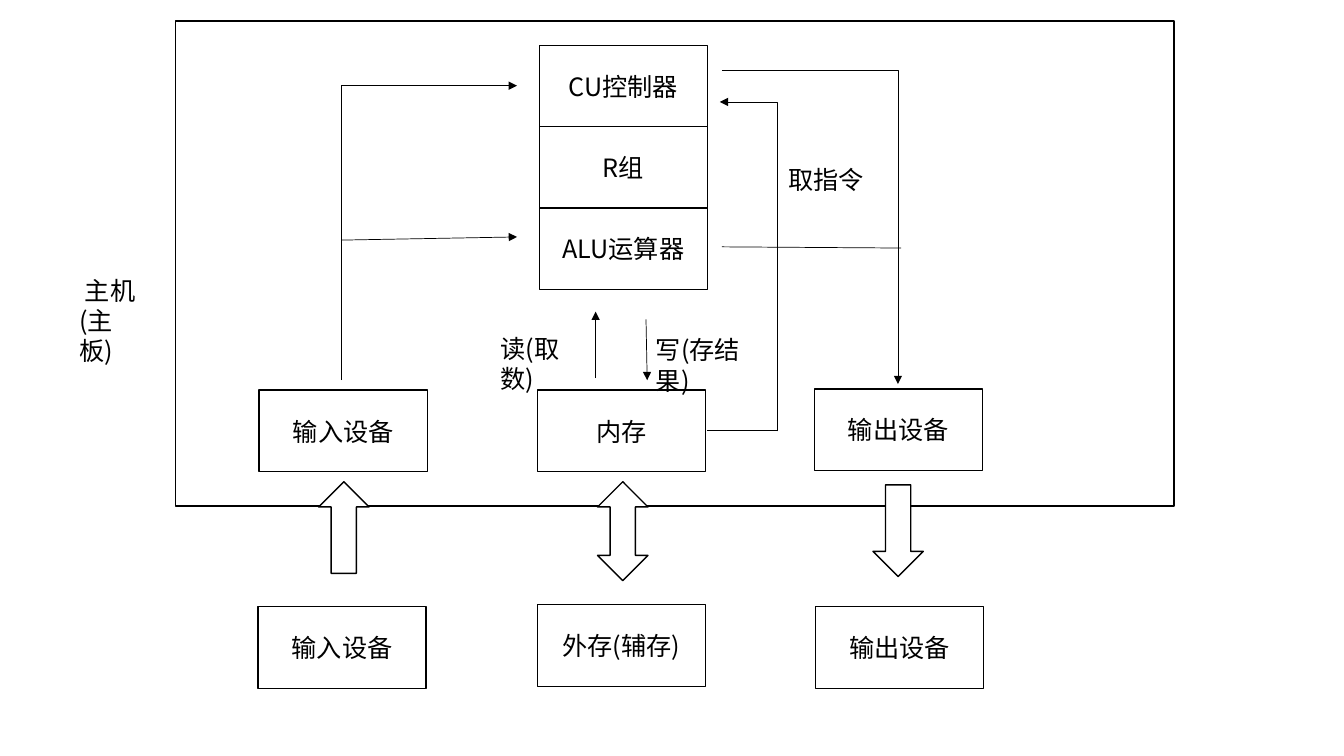
from dataclasses import dataclass

from lxml import etree
from pptx import Presentation
from pptx.dml.color import RGBColor
from pptx.enum.shapes import MSO_CONNECTOR, MSO_SHAPE
from pptx.enum.text import MSO_ANCHOR, MSO_AUTO_SIZE, PP_ALIGN
from pptx.oxml.ns import qn
from pptx.shapes.autoshape import Shape
from pptx.shapes.connector import Connector
from pptx.slide import Slide
from pptx.text.text import TextFrame
from pptx.util import Cm, Pt

RECTANGLE = MSO_SHAPE.RECTANGLE
UP_ARROW = MSO_SHAPE.UP_ARROW
DOWN_ARROW = MSO_SHAPE.DOWN_ARROW
UP_DOWN_ARROW = MSO_SHAPE.UP_DOWN_ARROW
STRAIGHT = MSO_CONNECTOR.STRAIGHT
ELBOW = MSO_CONNECTOR.ELBOW
CENTER = PP_ALIGN.CENTER
LEFT = PP_ALIGN.LEFT
MIDDLE = MSO_ANCHOR.MIDDLE
FIT_SHAPE = MSO_AUTO_SIZE.SHAPE_TO_FIT_TEXT

FONT = "Noto Sans CJK SC"
BLACK = "000000"
WHITE = "FFFFFF"
UNIT_WIDTH = 4.24
UNIT_HEIGHT = 2.06
CPU_LEFT = 13.59
CPU_TOP = 1.14
CPU_STEP = 2.05


@dataclass
class Block:
    left: float
    top: float
    width: float = UNIT_WIDTH
    height: float = UNIT_HEIGHT
    text: str = ""
    kind: MSO_SHAPE = RECTANGLE


@dataclass
class Label:
    left: float
    top: float
    width: float
    height: float
    lines: tuple[str, ...]


@dataclass
class Flow:
    start: tuple[float, float]
    end: tuple[float, float]
    arrow: bool = True


@dataclass
class Bend:
    start: tuple[float, float]
    end: tuple[float, float]
    rotation: int
    position: float


MAINBOARD = Block(4.42, 0.53, 25.17, 12.22)
CPU_PARTS = [
    Block(CPU_LEFT, CPU_TOP + row * CPU_STEP, text=part)
    for row, part in enumerate(("CU控制器", "R组", "ALU运算器"))
]
DEVICES = [
    Block(6.53, 9.83, text="输入设备"),
    Block(13.54, 9.83, text="内存"),
    Block(20.52, 9.8, text="输出设备"),
    Block(6.5, 15.29, text="输入设备"),
    Block(13.54, 15.24, text="外存(辅存)"),
    Block(20.55, 15.29, text="输出设备"),
]
TRANSFERS = [
    Block(15.06, 12.14, 1.27, 2.49, kind=UP_DOWN_ARROW),
    Block(8.03, 12.14, 1.27, 2.31, kind=UP_ARROW),
    Block(22, 12.22, 1.27, 2.31, kind=DOWN_ARROW),
]
FLOWS = [
    Flow((8.61, 6.05), (13.03, 5.97)),
    Flow((15.01, 9.53), (15.01, 7.85)),
    Flow((16.28, 8.05), (16.31, 9.58)),
    Flow((18.19, 6.22), (22.71, 6.25), arrow=False),
    Flow((17.83, 10.85), (19.61, 10.85), arrow=False),
]
BENDS = [
    Bend((8.61, 9.58), (13.03, 2.16), 90, 1.0),
    Bend((18.19, 1.78), (22.63, 9.68), 270, 0.0),
    Bend((19.58, 10.87), (18.14, 2.57), 270, 1.0),
]
LABELS = [
    Label(1.75, 6.81, 2.16, 1.8, (" 主机", "(主板)")),
    Label(12.37, 8.28, 2.82, 1.02, ("读(取数)",)),
    Label(16.28, 8.31, 3.45, 1.02, ("写(存结果)",)),
    Label(19.61, 4.01, 2.44, 1.02, ("取指令",)),
]


def color(value: str) -> RGBColor:
    return RGBColor.from_string(value)


def write(frame: TextFrame, lines: tuple[str, ...], align: PP_ALIGN) -> None:
    frame.word_wrap = True
    frame.text = "\n".join(lines)
    for paragraph in frame.paragraphs:
        paragraph.alignment = align
        paragraph.font.size = Pt(18)
        paragraph.font.color.rgb = color(BLACK)
        paragraph.font.name = FONT
        defaults = paragraph._p.pPr.find(qn("a:defRPr"))
        etree.SubElement(defaults, qn("a:ea"), typeface=FONT)


def draw_block(slide: Slide, block: Block) -> Shape:
    shape = slide.shapes.add_shape(
        block.kind, Cm(block.left), Cm(block.top), Cm(block.width), Cm(block.height)
    )
    shape.shadow.inherit = False
    shape.fill.solid()
    shape.fill.fore_color.rgb = color(WHITE)
    shape.line.color.rgb = color(BLACK)
    shape.line.width = Pt(1)
    if block.text:
        shape.text_frame.vertical_anchor = MIDDLE
        write(shape.text_frame, (block.text,), CENTER)
    return shape


def draw_line(slide: Slide, flow: Flow, kind: MSO_CONNECTOR = STRAIGHT) -> Connector:
    x1, y1, x2, y2 = (Cm(value) for value in flow.start + flow.end)
    connector = slide.shapes.add_connector(kind, x1, y1, x2, y2)
    connector.line.color.rgb = color(BLACK)
    connector.line.width = Pt(0.5)
    if flow.arrow:
        etree.SubElement(connector.line._get_or_add_ln(), qn("a:tailEnd"), type="triangle")
    etree.SubElement(connector._element.spPr, qn("a:effectLst"))
    return connector


def draw_bend(slide: Slide, bend: Bend) -> Connector:
    center_x = (bend.start[0] + bend.end[0]) / 2
    center_y = (bend.start[1] + bend.end[1]) / 2
    turn = 1 if bend.rotation == 90 else -1
    dx = turn * (bend.start[1] - center_y)
    dy = turn * (center_x - bend.start[0])
    unrotated = Flow((center_x + dx, center_y + dy), (center_x - dx, center_y - dy))
    connector = draw_line(slide, unrotated, ELBOW)
    properties = connector._element.spPr
    properties.find(qn("a:xfrm")).set("rot", str(bend.rotation * 60000))
    adjustments = properties.find(qn("a:prstGeom")).find(qn("a:avLst"))
    etree.SubElement(
        adjustments, qn("a:gd"), name="adj1", fmla=f"val {round(bend.position * 100000)}"
    )
    return connector


def draw_label(slide: Slide, label: Label) -> Shape:
    box = slide.shapes.add_textbox(
        Cm(label.left), Cm(label.top), Cm(label.width), Cm(label.height)
    )
    write(box.text_frame, label.lines, LEFT)
    box.text_frame.auto_size = FIT_SHAPE
    return box


def main() -> None:
    deck = Presentation()
    deck.slide_width = Cm(33.87)
    deck.slide_height = Cm(19.05)
    slide = deck.slides.add_slide(deck.slide_layouts[6])
    for block in [MAINBOARD, *CPU_PARTS, *DEVICES, *TRANSFERS]:
        draw_block(slide, block)
    for flow in FLOWS:
        draw_line(slide, flow)
    for bend in BENDS:
        draw_bend(slide, bend)
    for label in LABELS:
        draw_label(slide, label)
    deck.save("out.pptx")


if __name__ == "__main__":
    main()
